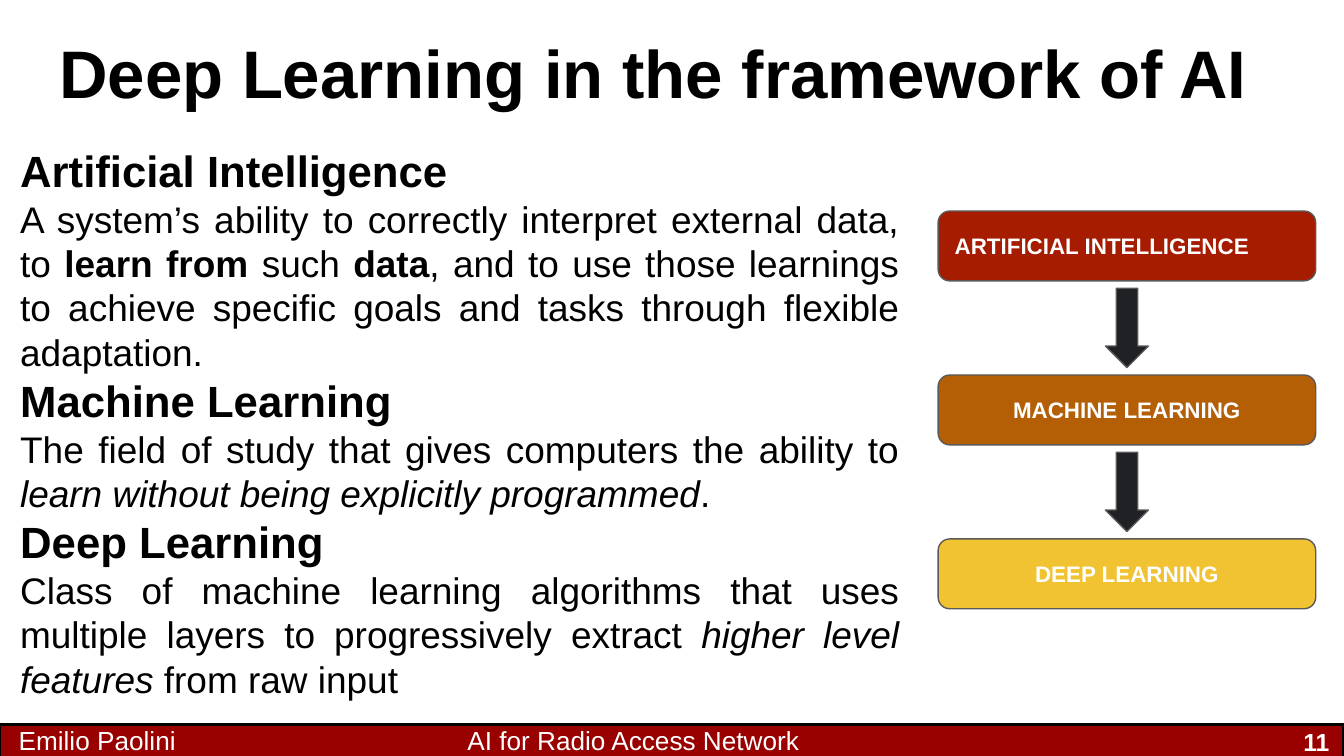
from dataclasses import dataclass

from lxml.etree import SubElement
from pptx import Presentation
from pptx.dml.color import RGBColor
from pptx.enum.shapes import MSO_SHAPE
from pptx.enum.text import MSO_ANCHOR, MSO_AUTO_SIZE, PP_ALIGN
from pptx.oxml.ns import qn
from pptx.util import Inches, Pt


@dataclass(frozen=True)
class Theme:
    font: str = "Arial"
    ink: str = "000000"
    light: str = "FFFFFF"
    bar: str = "990000"
    arrow: str = "202124"
    outline: str = "595959"
    title: float = 36
    heading: float = 23.4
    body: float = 19.8
    footer: float = 14
    number: float = 13.2
    step: float = 12


THEME = Theme()

# Each definition: heading, then runs of (text, bold, italic)
DEFINITIONS = [
    ("Artificial Intelligence", [
        ("A system’s ability to correctly interpret external data, to ", False, False),
        ("learn from", True, False),
        (" such ", False, False),
        ("data", True, False),
        (", and to use those learnings to achieve specific goals and tasks "
         "through flexible adaptation.", False, False),
    ]),
    ("Machine Learning ", [
        ("The field of study that gives computers the ability to ", False, False),
        ("learn without being explicitly programmed", False, True),
        (".", False, False),
    ]),
    ("Deep Learning", [
        ("Class of machine learning algorithms that uses multiple layers to "
         "progressively extract ", False, False),
        ("higher level features", False, True),
        (" from raw input", False, False),
    ]),
]

STEPS = [
    ("ARTIFICIAL INTELLIGENCE", "A61C00", PP_ALIGN.LEFT),
    ("MACHINE LEARNING", "B45F06", PP_ALIGN.CENTER),
    ("DEEP LEARNING", "F1C232", PP_ALIGN.CENTER),
]


def place(shape, box):
    shape.left, shape.top, shape.width, shape.height = map(Inches, box)


def set_frame(shape, anchor):
    frame = shape.text_frame
    frame.word_wrap = True
    frame.auto_size = MSO_AUTO_SIZE.NONE
    frame.vertical_anchor = anchor
    frame.margin_left = frame.margin_right = Inches(0.1)
    frame.margin_top = frame.margin_bottom = Inches(0.1)
    return frame


def add_run(paragraph, text, size, color, bold=False, italic=False):
    run = paragraph.add_run()
    run.text = text
    run.font.name = THEME.font
    run.font.size = Pt(size)
    run.font.color.rgb = RGBColor.from_string(color)
    run.font.bold = bold
    run.font.italic = italic


def add_block(slide, kind, box, fill, outline, weight):
    block = slide.shapes.add_shape(kind, *map(Inches, box))
    block.shadow.inherit = False
    block.fill.solid()
    block.fill.fore_color.rgb = RGBColor.from_string(fill)
    block.line.color.rgb = RGBColor.from_string(outline)
    block.line.width = Pt(weight)
    return block


def add_label(slide, box, text, size, anchor=MSO_ANCHOR.TOP,
              align=PP_ALIGN.LEFT, bold=False, spacing=1.0):
    label = slide.shapes.add_textbox(*map(Inches, box))
    paragraph = set_frame(label, anchor).paragraphs[0]
    paragraph.alignment = align
    paragraph.line_spacing = spacing
    add_run(paragraph, text, size, THEME.light, bold)


def add_footer(slide, box):
    left, top, width, height = box
    add_block(slide, MSO_SHAPE.RECTANGLE, box, THEME.bar, THEME.ink, 1.5)
    add_label(slide, (left + 0.04, top - 0.1, 1.55, 0.44),
              "Emilio Paolini", THEME.footer)
    add_label(slide, (left + 3.38, top - 0.1, 3.24, 0.44),
              "AI for Radio Access Network", THEME.footer)
    add_label(slide, (left + width - 0.48, top, 0.47, 0.29), "11", THEME.number,
              MSO_ANCHOR.MIDDLE, PP_ALIGN.RIGHT, bold=True, spacing=0.8)


def fill_title(slide, box):
    title = slide.shapes.title
    place(title, box)
    paragraph = set_frame(title, MSO_ANCHOR.MIDDLE).paragraphs[0]
    paragraph.alignment = PP_ALIGN.LEFT
    add_run(paragraph, "Deep Learning in the framework of AI",
            THEME.title, THEME.ink, bold=True)


def add_definition_paragraph(frame, first=False):
    paragraph = frame.paragraphs[0] if first else frame.add_paragraph()
    paragraph.alignment = PP_ALIGN.JUSTIFY
    paragraph.line_spacing = 1.0
    paragraph.space_before = Pt(0)
    # Plain text: no bullet and no hanging indent
    properties = paragraph._p.get_or_add_pPr()
    properties.set("marL", "0")
    properties.set("indent", "0")
    SubElement(properties, qn("a:buNone"))
    return paragraph


def fill_definitions(slide, box):
    body = slide.placeholders[1]
    place(body, box)
    frame = set_frame(body, MSO_ANCHOR.MIDDLE)
    for index, (heading, runs) in enumerate(DEFINITIONS):
        paragraph = add_definition_paragraph(frame, first=index == 0)
        add_run(paragraph, heading, THEME.heading, THEME.ink, bold=True)
        paragraph = add_definition_paragraph(frame)
        for text, bold, italic in runs:
            add_run(paragraph, text, THEME.body, THEME.ink, bold, italic)


def add_flow(slide, box):
    left, top, width, height = box
    step_height, arrow_length, arrow_width = 0.52, 0.59, 0.32
    pitch = (height - step_height) / (len(STEPS) - 1)
    for index, (name, color, align) in enumerate(STEPS):
        step_top = top + index * pitch
        step = add_block(slide, MSO_SHAPE.ROUNDED_RECTANGLE,
                         (left, step_top, width, step_height),
                         color, THEME.outline, 0.75)
        paragraph = set_frame(step, MSO_ANCHOR.MIDDLE).paragraphs[0]
        paragraph.alignment = align
        add_run(paragraph, name, THEME.step, THEME.light, bold=True)
        if index == len(STEPS) - 1:
            break
        # Arrow centred in the gap below the step
        gap_middle = step_top + (step_height + pitch) / 2
        arrow = add_block(slide, MSO_SHAPE.RIGHT_ARROW,
                          (left + (width - arrow_length) / 2,
                           gap_middle - arrow_width / 2,
                           arrow_length, arrow_width),
                          THEME.arrow, THEME.outline, 0.75)
        arrow.rotation = 90


def main():
    deck = Presentation()
    # Widescreen, 16:9
    deck.slide_width, deck.slide_height = Inches(10), Inches(10 * 9 / 16)
    slide = deck.slides.add_slide(deck.slide_layouts[1])
    add_footer(slide, (0, 5.39, 10, 0.25))
    fill_title(slide, (0.34, 0.07, 9.32, 0.92))
    fill_definitions(slide, (0.05, 1.27, 6.74, 3.74))
    add_flow(slide, (6.98, 1.57, 2.81, 2.96))
    deck.save("out.pptx")


if __name__ == "__main__":
    main()
